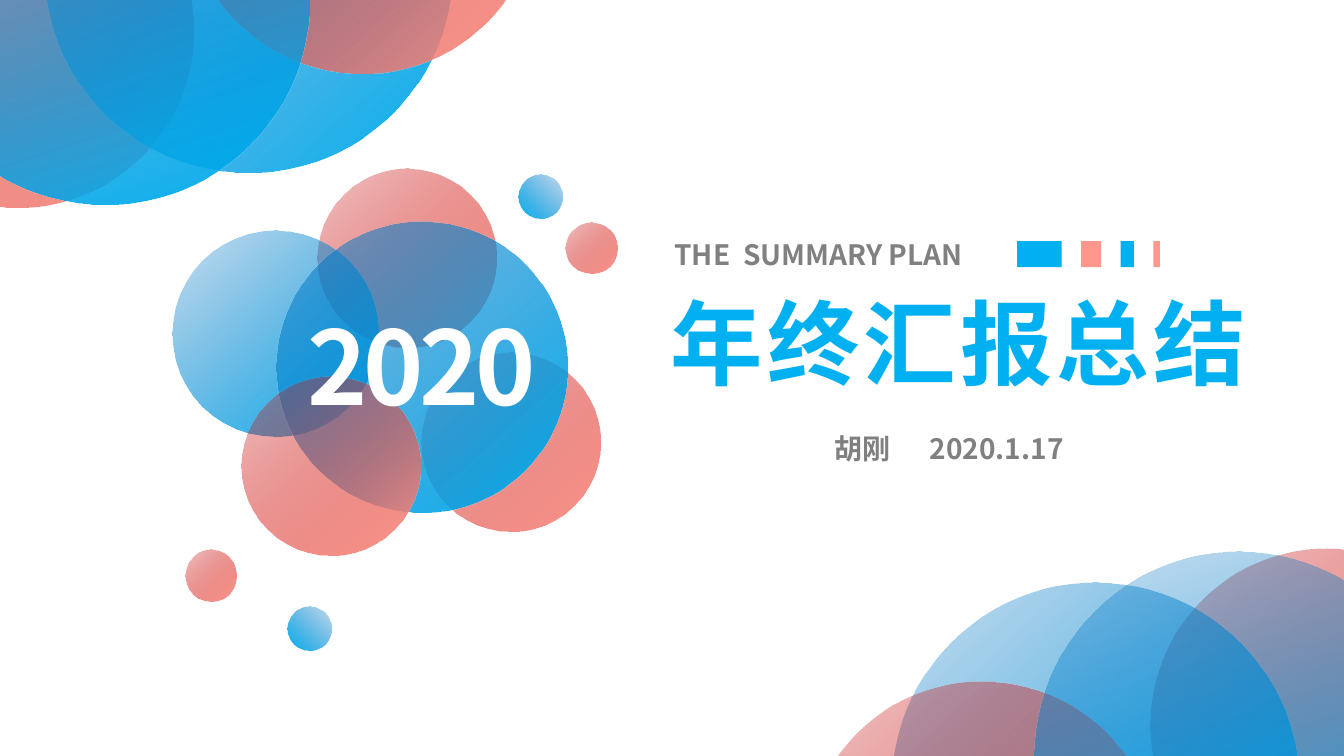
from dataclasses import dataclass

from lxml.etree import SubElement
from pptx import Presentation
from pptx.dml.color import RGBColor
from pptx.enum.shapes import MSO_SHAPE as Preset
from pptx.enum.text import PP_ALIGN as Align
from pptx.oxml.ns import qn
from pptx.slide import Slide
from pptx.util import Inches, Length, Pt

COLUMNS, ROWS = 16, 9
CELL = 7.5 / ROWS

WHITE = RGBColor(0xFF, 0xFF, 0xFF)
GRAY = RGBColor(0x80, 0x80, 0x80)
BLUE = RGBColor(0x00, 0xB0, 0xF0)
DEEP_BLUE = RGBColor(0x00, 0x70, 0xC0)
CORAL = RGBColor(0xFE, 0x97, 0x8C)
DEEP_RED = RGBColor(0xC0, 0x00, 0x00)

BLUE_FADE = (DEEP_BLUE, BLUE)
RED_FADE = (DEEP_RED, CORAL)
FONT = "Noto Sans CJK SC"


@dataclass(frozen=True)
class Bubble:
    """A circle given by its centre and diameter in grid cells."""
    x: float
    y: float
    diameter: float
    fade: tuple[RGBColor, RGBColor]
    angle: float = 312
    opacity: int = 22


@dataclass(frozen=True)
class Label:
    """A line of text; its box is in grid cells, size and spacing in points."""
    text: str
    x: float
    y: float
    width: float
    height: float
    size: float
    color: RGBColor
    spacing: float = 0
    align: Align = Align.LEFT
    tab: float = 0


CORNER = [
    Bubble(0.2, 0.37, 4.2, RED_FADE),
    Bubble(2.96, -0.37, 4.86, BLUE_FADE),
    Bubble(4.31, -1.22, 4.2, RED_FADE),
    Bubble(1.25, 0, 4.86, BLUE_FADE, angle=288),
]
OPPOSITE_CORNER = [
    Bubble(COLUMNS - b.x, ROWS - b.y, b.diameter, b.fade, b.angle) for b in CORNER
]
CLUSTER = [
    Bubble(4.84, 3.07, 2.13, RED_FADE),
    Bubble(6.08, 5.26, 2.13, RED_FADE),
    Bubble(3.28, 3.97, 2.46, BLUE_FADE),
    Bubble(5.02, 4.37, 3.46, BLUE_FADE, opacity=44),
    Bubble(6.43, 2.34, 0.52, BLUE_FADE, angle=225),
    Bubble(7.04, 2.95, 0.61, RED_FADE),
    Bubble(3.94, 5.55, 2.13, RED_FADE),
    Bubble(3.68, 7.48, 0.52, BLUE_FADE, angle=225),
    Bubble(2.51, 6.85, 0.61, RED_FADE),
]

LABELS = [
    Label("年终汇报总结", 7.87, 3.35, 7.4, 1.45, 66, BLUE, spacing=3),
    Label("胡刚\t2020.1.17", 9.82, 5.08, 3.5, 0.53, 20, GRAY, tab=1.13),
    Label("2020", 3.32, 3.55, 3.4, 1.66, 73, WHITE, spacing=-3, align=Align.CENTER),
    Label("THE  SUMMARY PLAN", 7.91, 2.77, 4.43, 0.53, 20, GRAY),
]

BAR_LEFT, BAR_TOP, BAR_HEIGHT, BAR_GAP = 12.11, 2.87, 0.31, 0.23
BARS = [(0.53, BLUE), (0.24, CORAL), (0.16, BLUE), (0.08, CORAL)]


def cells(count: float) -> Length:
    return Inches(count * CELL)


def draw_bubble(page: Slide, bubble: Bubble) -> None:
    radius = bubble.diameter / 2
    circle = page.shapes.add_shape(
        Preset.OVAL, cells(bubble.x - radius), cells(bubble.y - radius),
        cells(bubble.diameter), cells(bubble.diameter))
    circle.shadow.inherit = False
    circle.line.fill.background()
    circle.fill.gradient()
    circle.fill.gradient_angle = bubble.angle
    for stop, color in zip(circle.fill.gradient_stops, bubble.fade):
        stop.color.rgb = color
    first_color = next(circle._element.spPr.iter(qn("a:srgbClr")))
    SubElement(first_color, qn("a:alpha"), val=str(bubble.opacity * 1000))


def draw_label(page: Slide, label: Label) -> None:
    box = page.shapes.add_textbox(
        cells(label.x), cells(label.y), cells(label.width), cells(label.height))
    box.text_frame.word_wrap = True
    para = box.text_frame.paragraphs[0]
    para.text = label.text
    para.alignment = label.align
    properties = para._p.get_or_add_pPr()
    if label.tab:
        tabs = SubElement(properties, qn("a:tabLst"))
        SubElement(tabs, qn("a:tab"), pos=str(cells(label.tab)), algn="l")
    font = para.font
    font.name, font.size, font.bold = FONT, Pt(label.size), True
    font.color.rgb = label.color
    defaults = properties.find(qn("a:defRPr"))
    defaults.set("spc", str(round(label.spacing * 100)))
    SubElement(defaults, qn("a:ea"), typeface=FONT)


def draw_bars(page: Slide) -> None:
    left = BAR_LEFT
    for width, color in BARS:
        bar = page.shapes.add_shape(
            Preset.RECTANGLE, cells(left), cells(BAR_TOP), cells(width), cells(BAR_HEIGHT))
        bar.shadow.inherit = False
        bar.fill.solid()
        bar.fill.fore_color.rgb = color
        bar.line.fill.background()
        left += width + BAR_GAP


def main() -> None:
    deck = Presentation()
    deck.slide_width, deck.slide_height = cells(COLUMNS), cells(ROWS)
    page = deck.slides.add_slide(deck.slide_layouts[6])
    for bubble in CORNER + OPPOSITE_CORNER + CLUSTER:
        draw_bubble(page, bubble)
    for label in LABELS:
        draw_label(page, label)
    draw_bars(page)
    deck.save("out.pptx")


if __name__ == "__main__":
    main()
